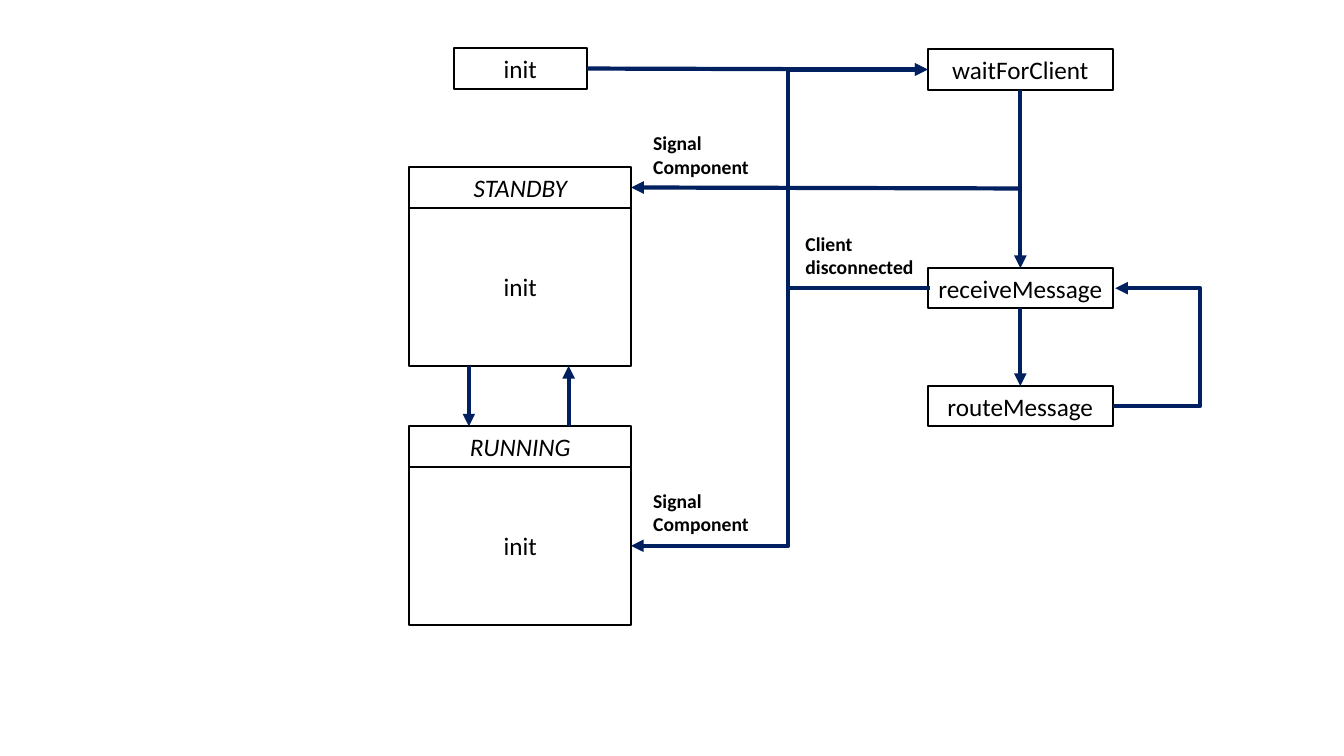
"""Builds a state diagram of client message handling and its standby and running modes."""
import lxml.etree
import pptx
import pptx.dml.color
import pptx.enum.shapes
import pptx.enum.text
import pptx.oxml.ns
import pptx.util

Inches = pptx.util.Inches
Pt = pptx.util.Pt
qn = pptx.oxml.ns.qn

BLACK = pptx.dml.color.RGBColor(0x00, 0x00, 0x00)
WHITE = pptx.dml.color.RGBColor(0xFF, 0xFF, 0xFF)
NAVY = pptx.dml.color.RGBColor(0x00, 0x20, 0x60)
FONT = "Calibri"

TOP, LEFT, BOTTOM, RIGHT = range(4)
ROW_HEIGHT = 0.4
MODE_LEFT, MODE_WIDTH, MODE_BODY_HEIGHT = 4.06, 2.2, 1.57
STEP_LEFT, STEP_WIDTH = 9.2, 1.84
STEP_CENTER = STEP_LEFT + STEP_WIDTH / 2
STEP_RIGHT = STEP_LEFT + STEP_WIDTH
STANDBY_TOP, RUNNING_TOP = 1.66, 4.23
WAIT_TOP, RECEIVE_TOP, ROUTE_TOP = 0.49, 2.66, 3.83
RETURN_X, LOOP_X = 7.82, 11.9


def style_font(paragraph, size, bold=False, italic=False):
    paragraph.font.name = FONT
    paragraph.font.size = Pt(size)
    paragraph.font.color.rgb = BLACK
    paragraph.font.bold = bold
    paragraph.font.italic = italic


def add_state(slide, name, left, top, width, height=ROW_HEIGHT, italic=False):
    state = slide.shapes.add_shape(
        pptx.enum.shapes.MSO_SHAPE.RECTANGLE,
        Inches(left), Inches(top), Inches(width), Inches(height))
    state.shadow.inherit = False
    state.fill.solid()
    state.fill.fore_color.rgb = WHITE
    state.line.color.rgb = BLACK
    state.line.width = Pt(1.5)
    state.text_frame.vertical_anchor = pptx.enum.text.MSO_ANCHOR.MIDDLE
    caption = state.text_frame.paragraphs[0]
    caption.text = name
    caption.alignment = pptx.enum.text.PP_ALIGN.CENTER
    style_font(caption, 18, italic=italic)
    return state


def add_mode(slide, name, top):
    header = add_state(slide, name, MODE_LEFT, top, MODE_WIDTH, italic=True)
    add_state(slide, "init", MODE_LEFT, top + ROW_HEIGHT, MODE_WIDTH, MODE_BODY_HEIGHT)
    return header


def add_label(slide, text, left, top):
    label = slide.shapes.add_textbox(Inches(left), Inches(top), Inches(1.32), Inches(0.57))
    label.text_frame.word_wrap = True
    label.text_frame.auto_size = pptx.enum.text.MSO_AUTO_SIZE.SHAPE_TO_FIT_TEXT
    label.text_frame.text = text
    for paragraph in label.text_frame.paragraphs:
        style_font(paragraph, 14, bold=True)


def add_arrow(slide, start, end, kind=pptx.enum.shapes.MSO_CONNECTOR.STRAIGHT):
    arrow = slide.shapes.add_connector(
        kind, *(Inches(length) for length in (*start, *end)))
    arrow.line.color.rgb = NAVY
    arrow.line.width = Pt(3)
    properties = arrow._element.spPr
    lxml.etree.SubElement(properties.find(qn("a:ln")), qn("a:tailEnd"), type="triangle")
    lxml.etree.SubElement(properties, qn("a:effectLst"))
    return arrow


def join_states(slide, source, source_side, target, target_side):
    arrow = add_arrow(slide, (0, 0), (1, 1))
    arrow.begin_connect(source, source_side)
    arrow.end_connect(target, target_side)


def add_elbow(slide, start, end, bend_x):
    elbow = add_arrow(slide, start, end, pptx.enum.shapes.MSO_CONNECTOR.ELBOW)
    bend = round((bend_x - start[0]) / (end[0] - start[0]) * 100000)
    adjustments = elbow._element.spPr.find(qn("a:prstGeom")).find(qn("a:avLst"))
    lxml.etree.SubElement(adjustments, qn("a:gd"), name="adj1", fmla=f"val {bend}")


def main():
    presentation = pptx.Presentation()
    presentation.slide_width = Inches(13.33)
    presentation.slide_height = Inches(7.5)
    slide = presentation.slides.add_slide(presentation.slide_layouts[6])

    start = add_state(slide, "init", 4.5, 0.48, 1.32)
    standby = add_mode(slide, "STANDBY", STANDBY_TOP)
    add_mode(slide, "RUNNING", RUNNING_TOP)
    wait, receive, route = (
        add_state(slide, name, STEP_LEFT, top, STEP_WIDTH)
        for name, top in (("waitForClient", WAIT_TOP),
                          ("receiveMessage", RECEIVE_TOP),
                          ("routeMessage", ROUTE_TOP)))

    join_states(slide, start, RIGHT, wait, LEFT)
    join_states(slide, wait, BOTTOM, receive, TOP)
    join_states(slide, receive, BOTTOM, route, TOP)

    wait_y, receive_y, route_y = (
        top + ROW_HEIGHT / 2 for top in (WAIT_TOP, RECEIVE_TOP, ROUTE_TOP))
    add_elbow(slide, (STEP_RIGHT, route_y), (STEP_RIGHT + 0.02, receive_y), LOOP_X)
    add_elbow(slide, (STEP_LEFT + 0.02, receive_y), (STEP_LEFT, wait_y), RETURN_X)
    running_y = RUNNING_TOP + ROW_HEIGHT + MODE_BODY_HEIGHT / 2
    add_elbow(slide, (RETURN_X, receive_y), (MODE_LEFT + MODE_WIDTH, running_y), RETURN_X)

    standby_signal = add_arrow(slide, (STEP_CENTER, 1.87), (MODE_LEFT + MODE_WIDTH, 1.86))
    standby_signal.end_connect(standby, RIGHT)

    standby_bottom = STANDBY_TOP + ROW_HEIGHT + MODE_BODY_HEIGHT
    add_arrow(slide, (4.65, standby_bottom), (4.65, RUNNING_TOP))
    add_arrow(slide, (5.64, RUNNING_TOP), (5.64, standby_bottom))

    add_label(slide, "Client\ndisconnected", 7.89, 2.25)
    for label_top in (1.25, 4.8):
        add_label(slide, "Signal Component", 6.38, label_top)

    presentation.save("out.pptx")


if __name__ == "__main__":
    main()
